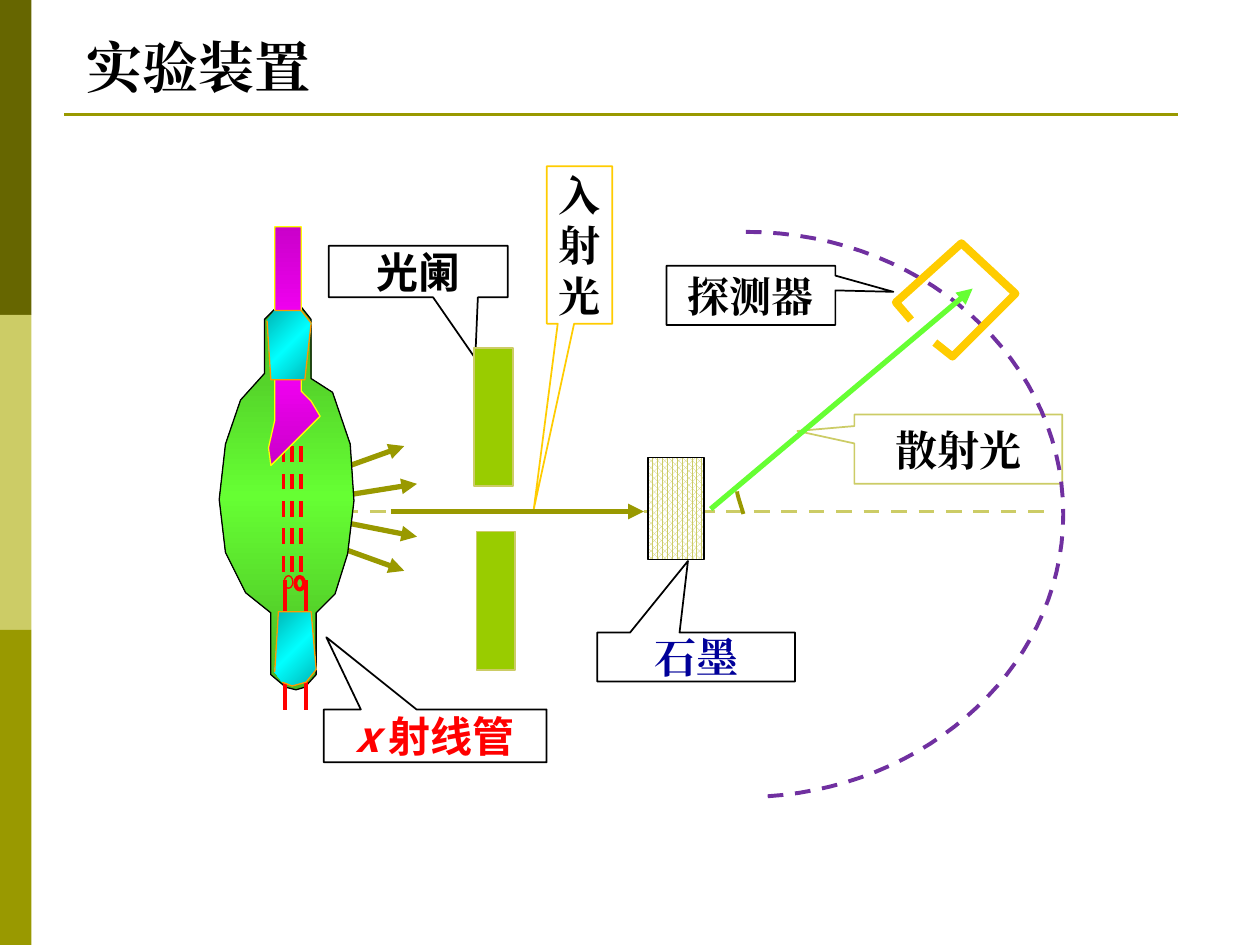
from copy import deepcopy
from dataclasses import dataclass

from lxml.etree import SubElement
from pptx import Presentation
from pptx.dml.color import RGBColor
from pptx.enum.dml import MSO_LINE, MSO_PATTERN
from pptx.enum.shapes import MSO_CONNECTOR, MSO_SHAPE
from pptx.enum.text import MSO_ANCHOR, PP_ALIGN
from pptx.oxml.ns import qn
from pptx.util import Pt


@dataclass(frozen=True)
class Theme:
    black: str = "000000"
    white: str = "FFFFFF"
    dark: str = "666600"
    olive: str = "999900"
    sand: str = "CCCC66"
    leaf: str = "99CC00"
    gold: str = "FFCC00"
    red: str = "FF0000"
    navy: str = "000099"
    violet: str = "7030A0"
    ray: str = "66FF33"
    yellow: str = "FFFF00"
    orange: str = "FF9900"
    glass: tuple = ("49B624", "66FF33")
    anode: tuple = ("CA00CA", "FF00FF")
    seal: tuple = ("00B6B6", "00FFFF")
    serif: str = "Times New Roman"
    sans: str = "Noto Sans CJK SC"
    title: int = 32
    label: int = 24


T = Theme()


def rgb(code):
    return RGBColor.from_string(code)


def stroke(line, color, width, dash=False):
    line.color.rgb = rgb(color)
    line.width = Pt(width)
    if dash:
        line.dash_style = MSO_LINE.DASH


def paint(shape, fill, color, width, dash=False):
    """Set fill and outline; None leaves that part empty."""
    shape.shadow.inherit = False
    if fill:
        shape.fill.solid()
        shape.fill.fore_color.rgb = rgb(fill)
    else:
        shape.fill.background()
    if color:
        stroke(shape.line, color, width, dash)
    else:
        shape.line.fill.background()


def blend(shape, pair, angle):
    """Fill with a gradient that runs edge, middle, edge."""
    edge, core = pair
    fill = shape.fill
    fill.gradient()
    fill.gradient_angle = 360 - angle
    for stop in fill.gradient_stops:
        stop.color.rgb = rgb(edge)
    stops = shape._element.spPr.find(qn("a:gradFill")).find(qn("a:gsLst"))
    stops.insert(1, deepcopy(stops[0]))
    for stop, pos in zip(fill.gradient_stops, (0, 0.5, 1)):
        stop.position = pos
    fill.gradient_stops[1].color.rgb = rgb(core)


def block(slide, kind, x, y, w, h, fill, color=None, width=1):
    shape = slide.shapes.add_shape(kind, Pt(x), Pt(y), Pt(w), Pt(h))
    paint(shape, fill, color, width)
    return shape


def link(slide, box, start, end, color, width, dash=False, arrow=False):
    x, y = box
    line = slide.shapes.add_connector(
        MSO_CONNECTOR.STRAIGHT, Pt(x + start[0]), Pt(y + start[1]),
        Pt(x + end[0]), Pt(y + end[1]))
    stroke(line.line, color, width, dash)
    if arrow:
        SubElement(line.line._get_or_add_ln(), qn("a:tailEnd"), type="triangle")
    SubElement(line._element.spPr, qn("a:effectLst"))


def trace(slide, box, dots, color, width, close=False, dash=False):
    x, y = box
    spots = [(Pt(x + a), Pt(y + b)) for a, b in dots]
    pen = slide.shapes.build_freeform(*spots[0])
    pen.add_line_segments(spots[1:], close=close)
    shape = pen.convert_to_shape()
    paint(shape, None, color, width, dash)
    return shape


def curve(a, b, c, d, steps=30):
    """Points along a cubic curve from a to d."""
    dots = []
    for i in range(steps + 1):
        t = i / steps
        s = 1 - t
        dots.append(tuple(s**3 * p + 3 * s * s * t * q + 3 * s * t * t * r + t**3 * u
                          for p, q, r, u in zip(a, b, c, d)))
    return dots


def write(para, text, size, font, color, italic=False):
    run = para.add_run()
    run.text = text
    run.font.size = Pt(size)
    run.font.name = font
    run.font.bold = True
    run.font.italic = italic
    run.font.color.rgb = rgb(color)
    SubElement(run._r.get_or_add_rPr(), qn("a:ea"), typeface=font)


def label(slide, box, tip, lines, fill, edge, font=T.serif, color=T.black):
    """Callout; each line is a list of (text, italic) runs."""
    shape = block(slide, MSO_SHAPE.RECTANGULAR_CALLOUT, *box, fill, edge)
    shape.adjustments[0], shape.adjustments[1] = tip
    frame = shape.text_frame
    frame.word_wrap = False
    frame.vertical_anchor = MSO_ANCHOR.MIDDLE
    for i, runs in enumerate(lines):
        para = frame.add_paragraph() if i else frame.paragraphs[0]
        para.alignment = PP_ALIGN.CENTER
        for text, italic in runs:
            write(para, text, T.label, font, color, italic)


def side(slide, box):
    x, y, w, h = box
    for i, color in enumerate((T.dark, T.sand, T.olive)):
        block(slide, MSO_SHAPE.RECTANGLE, x, y + i * h / 3, w, h / 3, color)


def head(slide, box):
    x, y, w, h = box
    area = slide.shapes.add_textbox(Pt(x), Pt(y), Pt(w), Pt(h))
    area.text_frame.word_wrap = True
    write(area.text_frame.paragraphs[0], "实验装置", T.title, T.serif, T.black)


def sensor(slide, box):
    """Detector on its curved track."""
    track = curve((0, 0), (100.1, 0), (181.4, 72), (181.4, 161.3))
    track += curve((181.4, 161.3), (181.4, 246.2), (106.6, 316.8), (11.5, 322.6))[1:]
    trace(slide, box, track, T.violet, 2.25, dash=True)
    trace(slide, box, [(94.4, 50.4), (85.7, 40.3), (123.2, 6.5), (154.1, 35.3),
                       (118.1, 71.3), (108, 63.3)], T.gold, 4.5)


def beam(slide, box):
    """Rays, slits and target around an axis that starts at the box origin."""
    x, y = box
    link(slide, box, (3, 0), (425, 0), T.sand, 2.25, dash=True)
    target = block(slide, MSO_SHAPE.RECTANGLE, x + 193.1, y - 30.9, 32.4, 58.3,
                   T.white, T.black)
    target.fill.patterned()
    target.fill.pattern = MSO_PATTERN.PERCENT_75
    target.fill.fore_color.rgb = rgb(T.sand)
    target.fill.back_color.rgb = rgb(T.white)
    for dx, dy in ((93.7, -93.6), (95.2, 11.5)):
        block(slide, MSO_SHAPE.RECTANGLE, x + dx, y + dy, 22.3, 79.2, T.leaf, T.sand)
    rays = [((0, -18), (54, -37.4)), ((0, 14.4), (54, 33.9)),
            ((3, -6.5), (61.3, -15.8)), ((3, 2.9), (61.3, 14.4)),
            ((46.2, 0), (190.9, 0))]
    for start, end in rays:
        link(slide, box, start, end, T.olive, 3, arrow=True)
    link(slide, box, (229.1, -1.4), (378.8, -127.4), T.ray, 3, arrow=True)
    angle = curve((244.2, -11.5), (244.2, -9.4), (247.1, -1.4), (247.8, 1.4), 8)
    trace(slide, box, angle, T.olive, 2.25)


def tube(slide, box):
    x, y = box
    glass = [(15.4, 209.1), (3.9, 186.1), (0.3, 155.8), (3.9, 124.2), (12.5, 99),
             (26.2, 83.8), (26.2, 52.9), (33.4, 45.7), (40.6, 42.8), (47.1, 45.7),
             (52.8, 52.9), (52.8, 86.7), (65.1, 94.6), (75.2, 124.2), (77.3, 156.6),
             (73.7, 186.8), (66.5, 209.8), (55.7, 220.6), (55.7, 255.9),
             (49.2, 263.1), (44.2, 264.6), (38.4, 263.1), (29.8, 255.9), (29.8, 220.6)]
    anode = [(29.8, 136.4), (57.9, 108.3), (52.8, 99.7), (47.1, 93.9), (47.1, 0),
             (32, 0), (32, 110.5), (28.4, 126.3)]
    upper = [(27.6, 53.6), (29.8, 87.4), (49.2, 87.4), (52.8, 55), (47.1, 47.8),
             (32, 47.8)]
    lower = [(32, 254.5), (34.1, 219.9), (52.8, 219.9), (55.7, 253), (50, 260.2),
             (42, 262.4), (36.3, 260.2)]
    blend(trace(slide, box, glass, T.black, 0.75, close=True), T.glass, 90)
    for i in range(3):
        link(slide, box, (37 + 5 * i, 197), (37 + 5 * i, 125.8 - 3.3 * i),
             T.red, 2.25, dash=True)
    blend(trace(slide, box, anode, T.yellow, 0.75, close=True), T.anode, 90)
    blend(trace(slide, box, upper, T.orange, 0.75), T.seal, 45)
    for dx in (37.7, 50):
        link(slide, box, (dx, 276), (dx, 202), T.red, 2.25)
    for dx, dy, width in ((37.4, 199.4, 0.75), (43.8, 200.1, 2.25)):
        block(slide, MSO_SHAPE.OVAL, x + dx, y + dy, 5, 7.2, None, T.red, width)
    blend(trace(slide, box, lower, T.orange, 0.75), T.seal, 45)


def main():
    deck = Presentation()
    deck.slide_width, deck.slide_height = Pt(720), Pt(540)
    slide = deck.slides.add_slide(deck.slide_layouts[6])
    side(slide, (0, 0, 18, 540))
    link(slide, (36.7, 65.5), (0, 0), (636.5, 0), T.olive, 1.5)
    label(slide, (380.9, 151.9, 96.5, 33.8), (0.844, -0.059),
          [[("探测器", False)]], None, T.black)
    label(slide, (341.3, 361.4, 113, 28.1), (-0.041, -1.954),
          [[("石墨", False)]], T.white, T.black, color=T.navy)
    label(slide, (187.9, 140.4, 102.2, 29.5), (0.319, 1.681),
          [[("光阑", False)]], None, T.black, T.sans)
    label(slide, (312.5, 95, 37.4, 90), (-0.7, 1.676),
          [[(sign, False)] for sign in "入射光"], T.white, T.gold)
    label(slide, (488.2, 236.9, 118.8, 39.6), (-0.774, -0.263),
          [[("散射光", False)]], None, T.sand)
    sensor(slide, (426.2, 132.5))
    beam(slide, (177, 292.3))
    tube(slide, (125, 129.6))
    label(slide, (185, 405.4, 127.4, 30.2), (-0.488, -1.868),
          [[("x ", True), ("射线管", False)]], None, T.black, T.sans, T.red)
    head(slide, (42.5, 15.1, 226.8, 46.1))
    deck.save("out.pptx")


if __name__ == "__main__":
    main()
